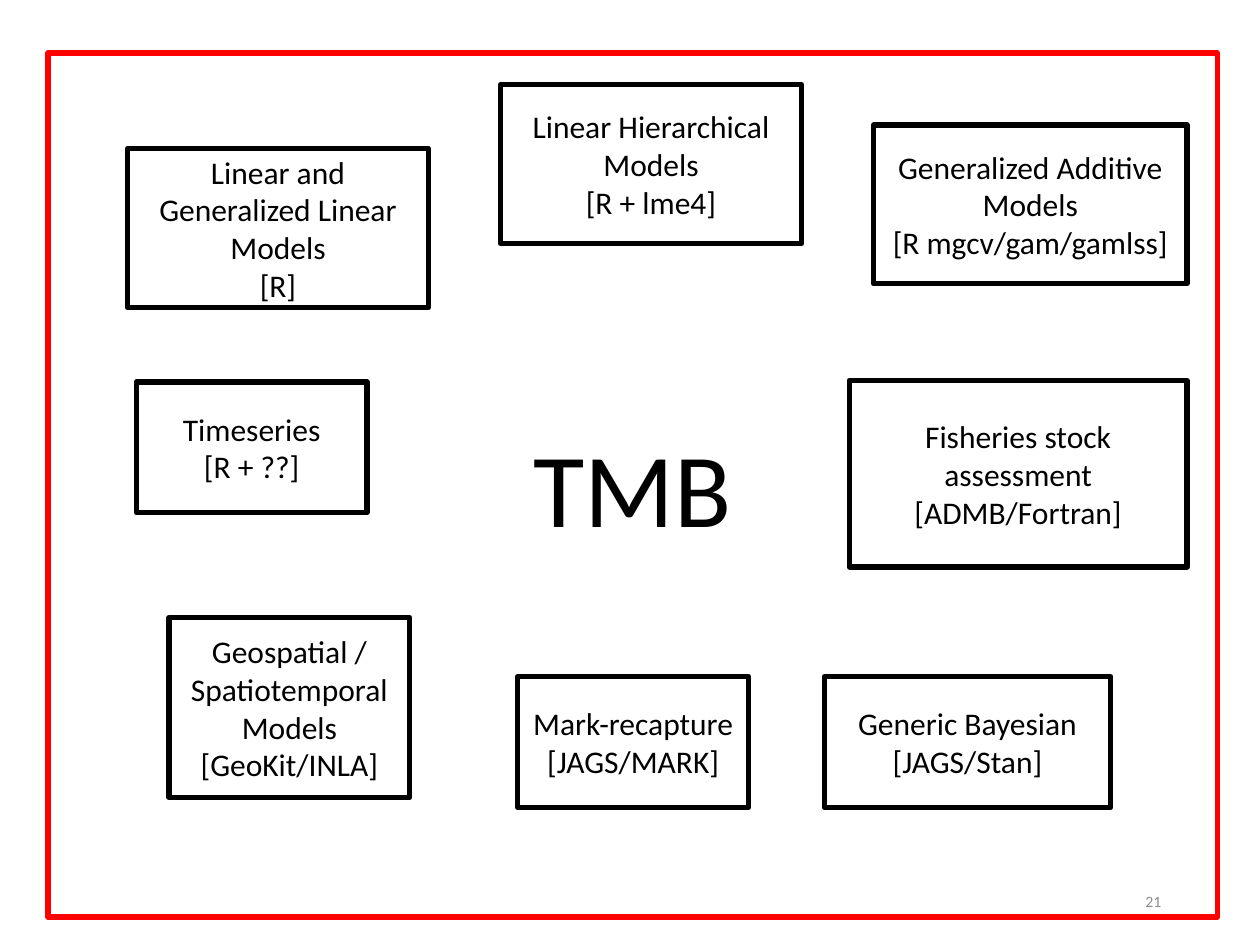
"""Build the slide that places TMB among the model families it covers."""
from pptx import Presentation
from pptx import util as u
from pptx.dml import color
from pptx.enum import shapes, text

COLORS = {"frame": "FF0000", "box": "000000", "text": "000000", "number": "8C8C8C"}
FRAME = (0.97, 1.07, 23.57, 17.42)
NUMBER = (16.97, 16.59, 5.72, 1.02)
MODELS = [
    ((1.6, 1.93, 6.07, 3.2), ["Linear and Generalized Linear Models", "[R]"]),
    ((9.12, 0.64, 6.07, 3.2), ["Linear Hierarchical Models", "[R + lme4]"]),
    ((16.64, 1.45, 6.32, 3.2), ["Generalized Additive Models", "[R mgcv/gam/gamlss]"]),
    ((1.78, 6.63, 4.65, 2.64), ["Timeseries", "[R + ??]"]),
    ((16.15, 6.6, 6.81, 3.76), ["Fisheries stock assessment", "[ADMB/Fortran]"]),
    ((2.44, 11.38, 4.85, 3.63), ["Geospatial / Spatiotemporal", "Models", "[GeoKit/INLA]"]),
    ((9.47, 12.57, 4.65, 2.64), ["Mark-recapture", "[JAGS/MARK]"]),
    ((15.65, 12.57, 5.77, 2.64), ["Generic Bayesian", "[JAGS/Stan]"]),
]


def rgb(name):
    """Return the named colour."""
    return color.RGBColor.from_string(COLORS[name])


def write(shape, lines, size, color_name="text", alignment=text.PP_ALIGN.CENTER):
    """Write one paragraph per line, centred vertically in the shape."""
    frame = shape.text_frame
    frame.word_wrap = True
    frame.vertical_anchor = text.MSO_ANCHOR.MIDDLE
    frame.text = "\n".join(lines)
    for paragraph in frame.paragraphs:
        paragraph.alignment = alignment
        paragraph.font.name = "Calibri"
        paragraph.font.size = u.Pt(size)
        paragraph.font.color.rgb = rgb(color_name)


def add_box(slide, box, lines, size, line_color):
    """Add an unfilled, outlined rectangle with centred text."""
    shape = slide.shapes.add_shape(shapes.MSO_SHAPE.RECTANGLE, *map(u.Cm, box))
    shape.shadow.inherit = False
    shape.fill.background()
    shape.line.color.rgb = rgb(line_color)
    shape.line.width = u.Pt(3)
    write(shape, lines, size)


def add_model_map(slide, box):
    """Place the TMB frame and the model boxes inside it."""
    left, top = box[:2]
    add_box(slide, box, ["TMB"], 60, "frame")
    for (x, y, width, height), lines in MODELS:
        add_box(slide, (left + x, top + y, width, height), lines, 18, "box")


def add_slide_number(slide, box):
    """Place the slide number in the lower right of the frame."""
    left, top = box[:2]
    x, y, width, height = NUMBER
    number = slide.shapes.add_textbox(*map(u.Cm, (left + x, top + y, width, height)))
    write(number, ["21"], 9, "number", text.PP_ALIGN.RIGHT)


def main():
    """Create and save the presentation."""
    presentation = Presentation()
    presentation.slide_width = u.Cm(25.4)
    presentation.slide_height = u.Cm(19.05)
    slide = presentation.slides.add_slide(presentation.slide_layouts.get_by_name("Blank"))
    add_model_map(slide, FRAME)
    add_slide_number(slide, FRAME)
    presentation.save("out.pptx")


if __name__ == "__main__":
    main()
